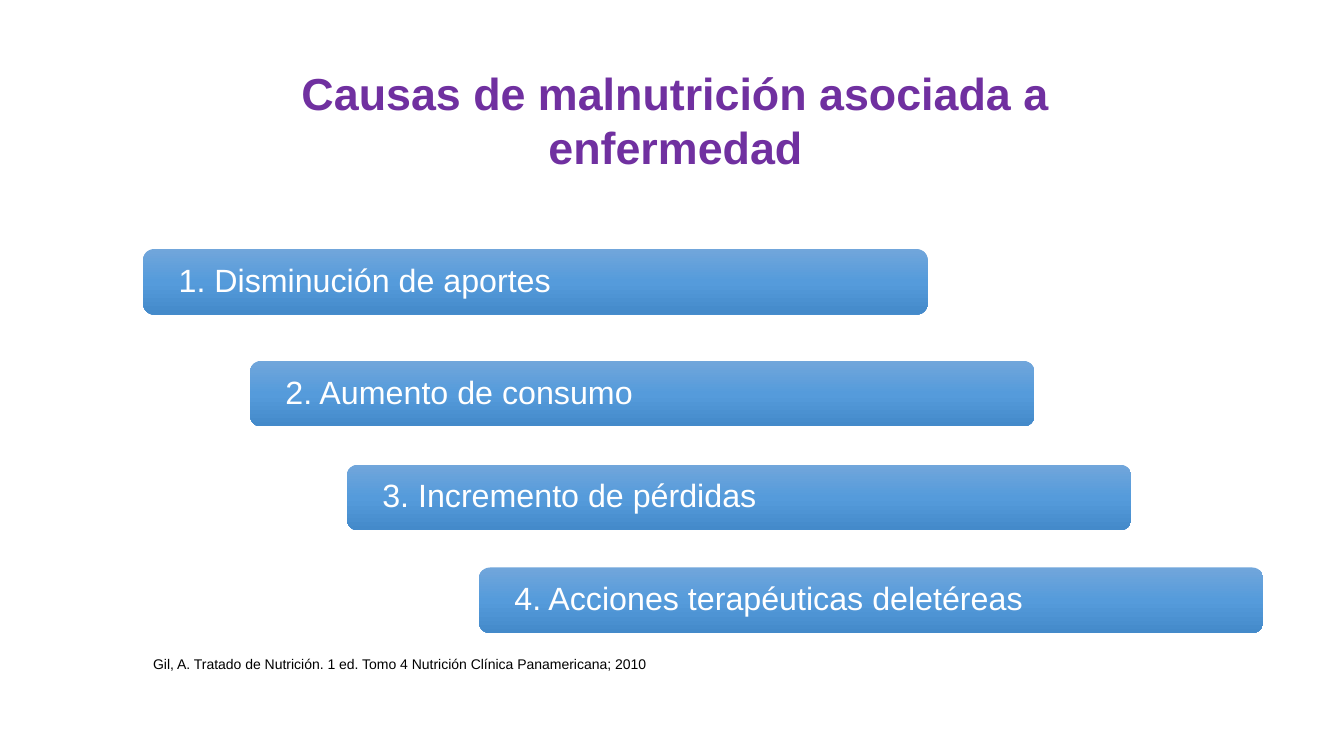
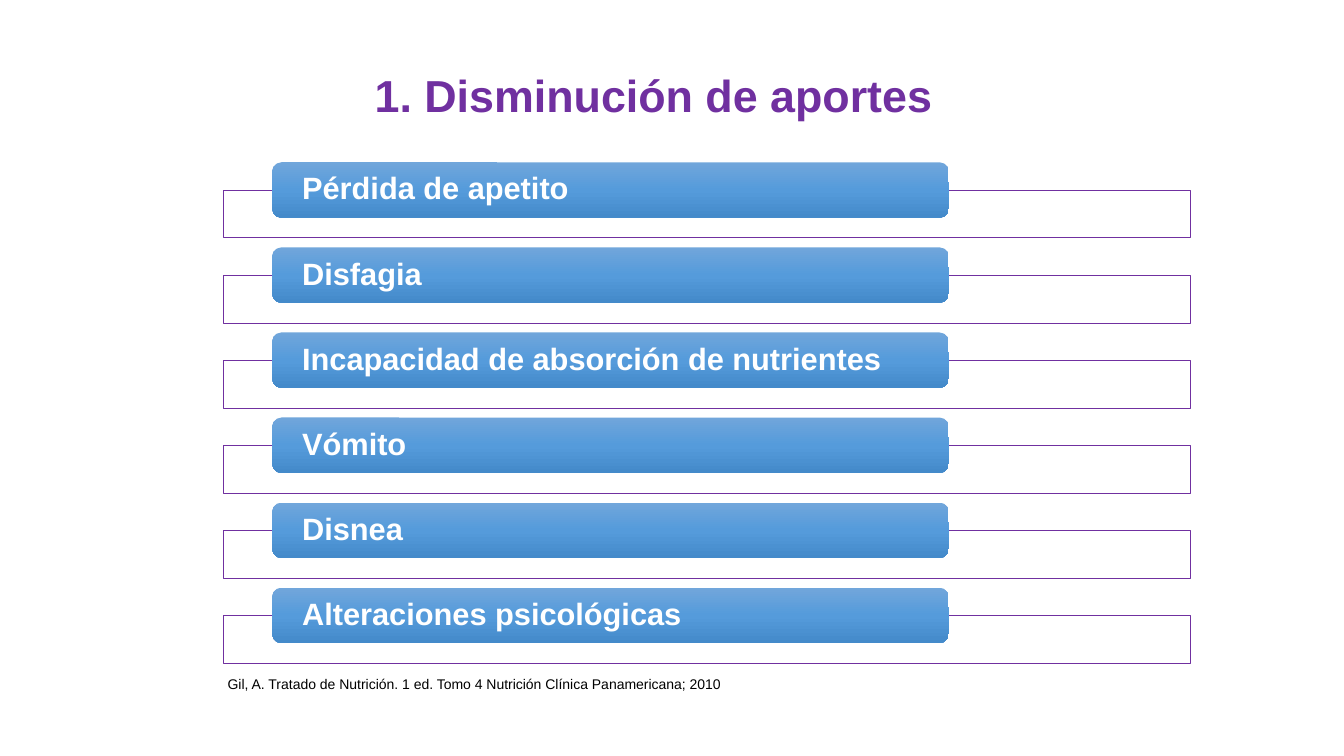
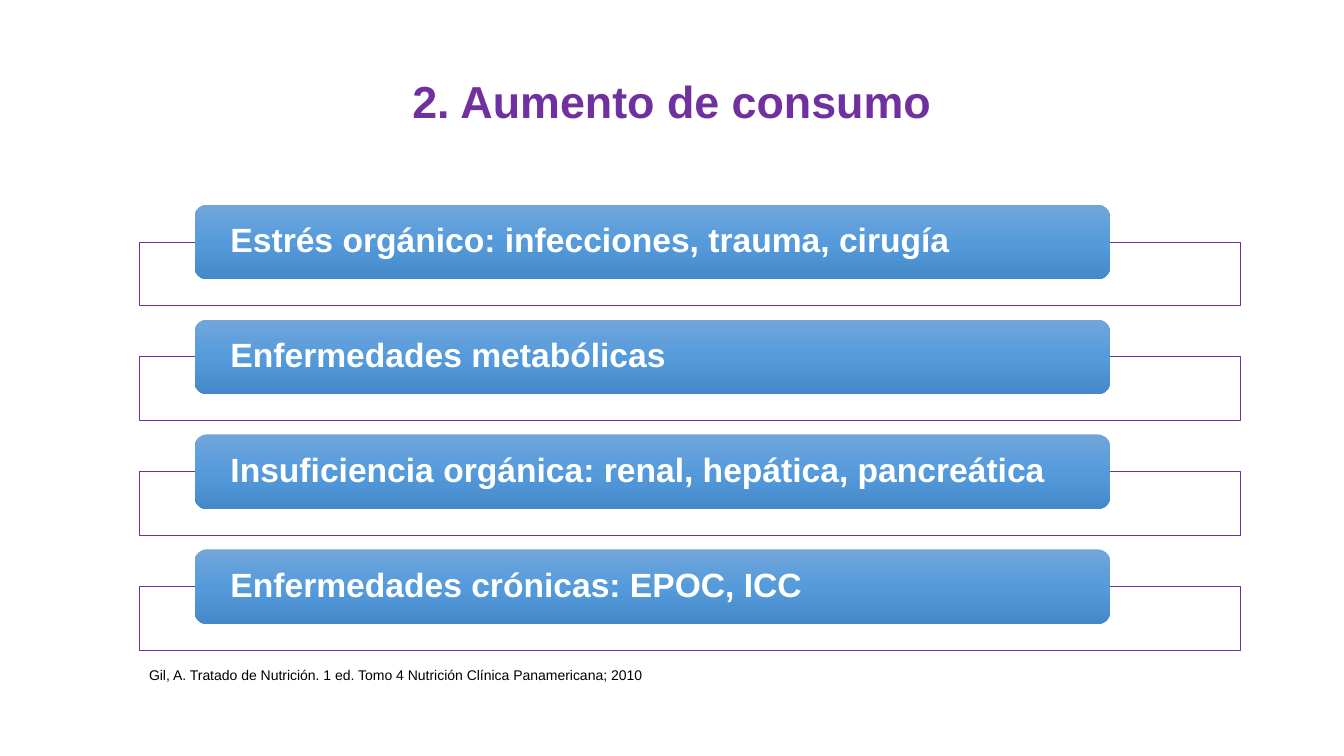
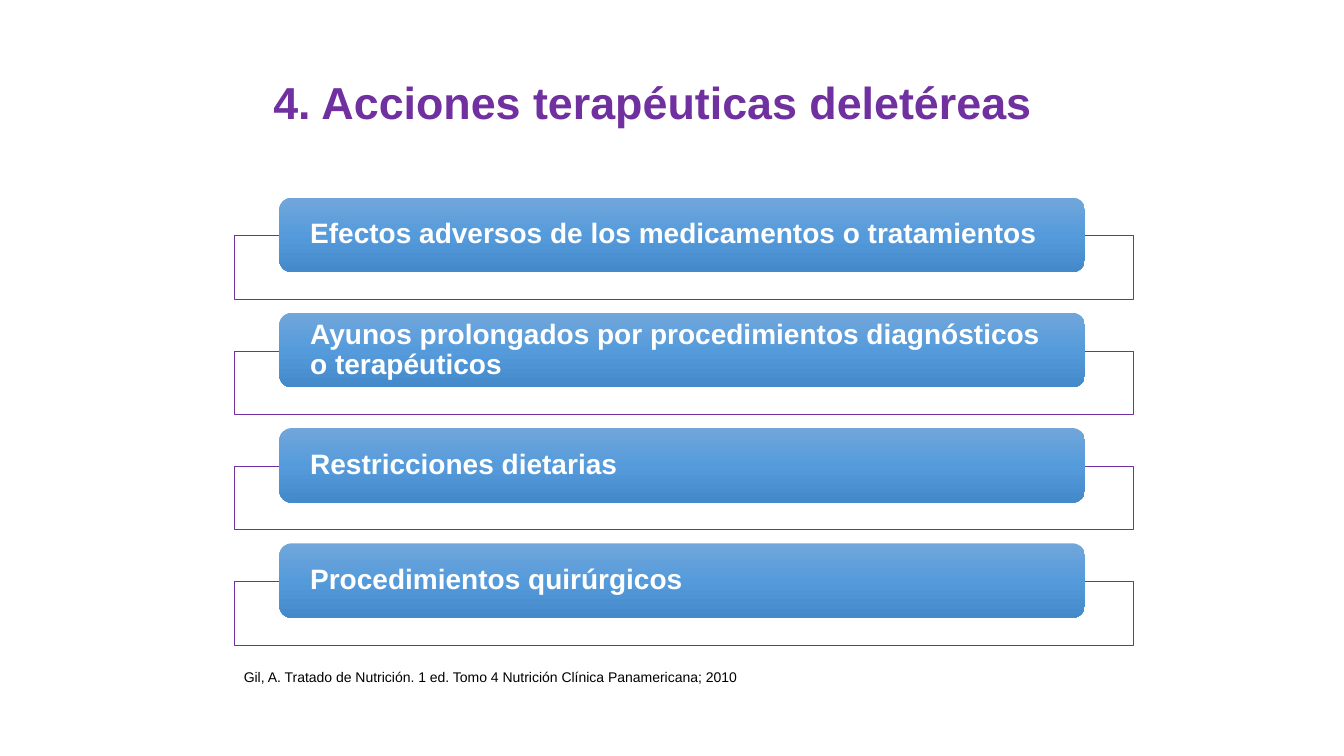
"""Build four slides on the causes of malnutrition linked to disease."""
from copy import deepcopy

from pptx import Presentation
from pptx import util as u
from pptx.dml import color
from pptx.enum import shapes, text
from pptx.oxml import ns

HUES = {"title": "7030A0", "white": "FFFFFF", "black": "000000",
        "light": "71A6DB", "mid": "559BDB", "dark": "448ACA"}
FONT = "Arial"
CITE = "Gil, A. Tratado de Nutrición. 1 ed. Tomo 4 Nutrición Clínica Panamericana; 2010"


def hue(name):
    return color.RGBColor.from_string(HUES[name])


def write(shape, words, size, tint="white", bold=False, align=text.PP_ALIGN.LEFT,
          lead=1.0, anchor=text.MSO_ANCHOR.TOP, side=0.1, edge=0.05):
    frame = shape.text_frame
    frame.word_wrap = True
    frame.vertical_anchor = anchor
    frame.margin_left = frame.margin_right = u.Inches(side)
    frame.margin_top = frame.margin_bottom = u.Inches(edge)
    para = frame.paragraphs[0]
    para.alignment = align
    para.line_spacing = lead
    run = para.add_run()
    run.text = words
    font = run.font
    font.name, font.size, font.bold = FONT, u.Pt(size), bold
    font.color.rgb = hue(tint)


class Deck:
    def __init__(self):
        self.show = Presentation()
        self.show.slide_width = u.Inches(13.33)
        self.show.slide_height = u.Inches(7.5)
        self.slide = None

    def start(self):
        self.slide = self.show.slides.add_slide(self.show.slide_layouts[6])

    def shape(self, kind, *box):
        item = self.slide.shapes.add_shape(kind, *map(u.Inches, box))
        item.shadow.inherit = False
        return item

    def label(self, words, box, **style):
        write(self.slide.shapes.add_textbox(*map(u.Inches, box)), words, **style)

    def title(self, words, box, lead=0.9):
        self.label(words, box, size=32, tint="title", bold=True,
                   align=text.PP_ALIGN.CENTER, lead=lead)

    def cite(self, left, top):
        self.label(CITE, (left, top, 7, 0.27), size=10, tint="black")

    def plate(self, *box):
        item = self.shape(shapes.MSO_SHAPE.RECTANGLE, *box)
        item.fill.solid()
        item.fill.fore_color.rgb = hue("white")
        item.line.color.rgb = hue("title")
        item.line.width = u.Pt(0.5)

    def bar(self, words, box, size, side, bold=True):
        item = self.shape(shapes.MSO_SHAPE.ROUNDED_RECTANGLE, *box)
        item.line.fill.background()
        item.fill.gradient()
        item.fill.gradient_angle = 270
        first = item._element.spPr.find(".//" + ns.qn("a:gs"))
        first.addnext(deepcopy(first))
        tones = zip(item.fill.gradient_stops, (0, 0.5, 1), ("light", "mid", "dark"))
        for stop, place, tone in tones:
            stop.position = place
            stop.color.rgb = hue(tone)
        write(item, words, size, bold=bold, lead=0.9, side=side, edge=0.03,
              anchor=text.MSO_ANCHOR.MIDDLE)

    def rows(self, items, plate, bar, last, size, side):
        left, top, width, height = bar
        step = (last - top) / (len(items) - 1)
        for i, words in enumerate(items):
            shift = i * step
            self.plate(plate[0], plate[1] + shift, *plate[2:])
            self.bar(words, (left, top + shift, width, height), size, side)


def main():
    deck = Deck()

    deck.start()
    deck.title("Causas de malnutrición asociada a enfermedad",
               (2.62, 0.6, 8.16, 1.18), lead=1.0)
    causes = [("1. Disminución de aportes", 1.42, 2.47),
              ("2. Aumento de consumo", 2.48, 3.58),
              ("3. Incremento de pérdidas", 3.44, 4.61),
              ("4. Acciones terapéuticas deletéreas", 4.75, 5.63)]
    for words, left, top in causes:
        deck.bar(words, (left, top, 7.78, 0.65), 23, 0.32, bold=False)
    deck.cite(1.42, 6.45)

    deck.start()
    deck.title("1. Disminución de aportes", (-0.18, 0.68, 13.33, 0.62))
    deck.rows(["Pérdida de apetito", "Disfagia",
               "Incapacidad de absorción de nutrientes", "Vómito", "Disnea",
               "Alteraciones psicológicas"],
              plate=(2.22, 1.89, 9.59, 0.47), bar=(2.7, 1.61, 6.71, 0.55),
              last=5.83, size=22, side=0.27)
    deck.cite(2.16, 6.65)

    deck.start()
    deck.title("2. Aumento de consumo", (0, 0.74, 13.33, 0.78))
    deck.rows(["Estrés orgánico: infecciones, trauma, cirugía",
               "Enfermedades metabólicas",
               "Insuficiencia orgánica: renal, hepática, pancreática",
               "Enfermedades crónicas: EPOC, ICC"],
              plate=(1.38, 2.4, 10.92, 0.63), bar=(1.93, 2.03, 9.08, 0.74),
              last=5.45, size=24, side=0.32)
    deck.cite(1.38, 6.56)

    deck.start()
    deck.title("4. Acciones terapéuticas deletéreas", (-0.19, 0.75, 13.33, 0.77))
    deck.rows(["Efectos adversos de los medicamentos o tratamientos",
               "Ayunos prolongados por procedimientos diagnósticos o terapéuticos",
               "Restricciones dietarias", "Procedimientos quirúrgicos"],
              plate=(2.32, 2.34, 8.92, 0.63), bar=(2.77, 1.96, 7.99, 0.74),
              last=5.39, size=20, side=0.27)
    deck.cite(2.32, 6.58)

    deck.show.save("out.pptx")


if __name__ == "__main__":
    main()
